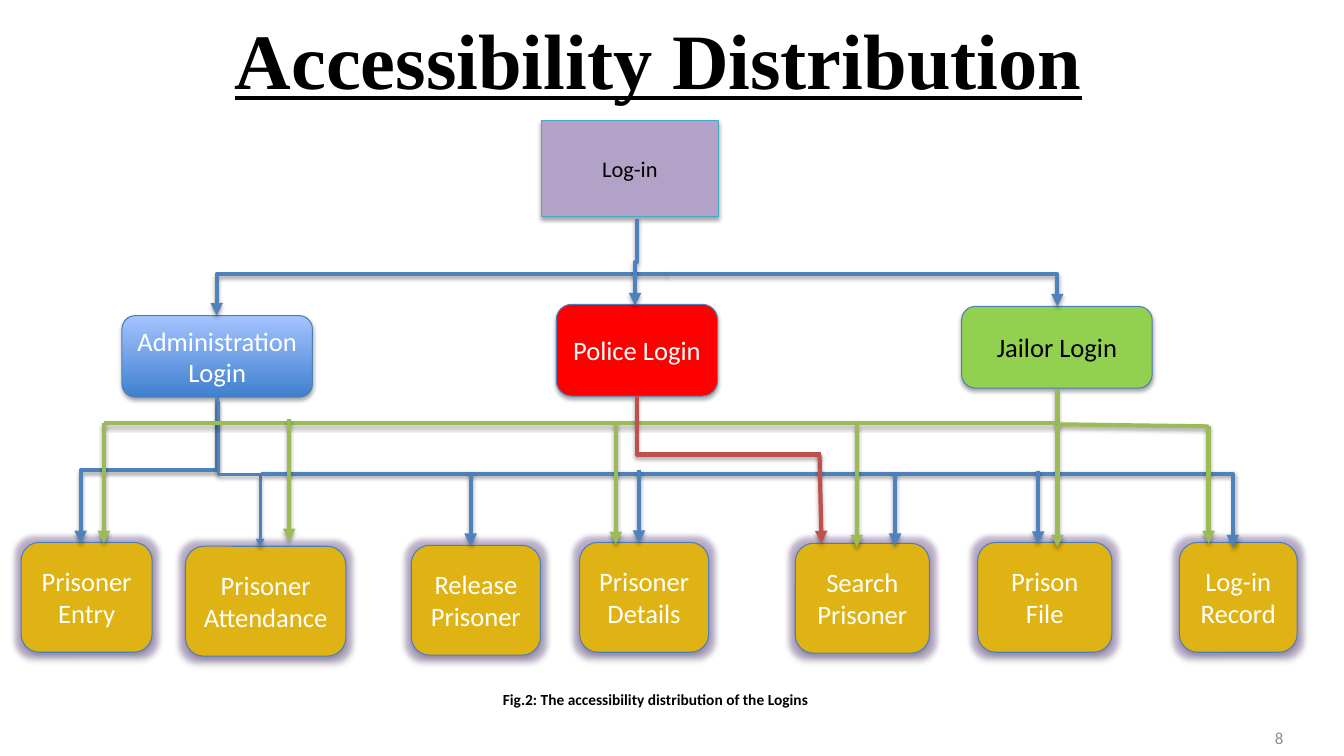
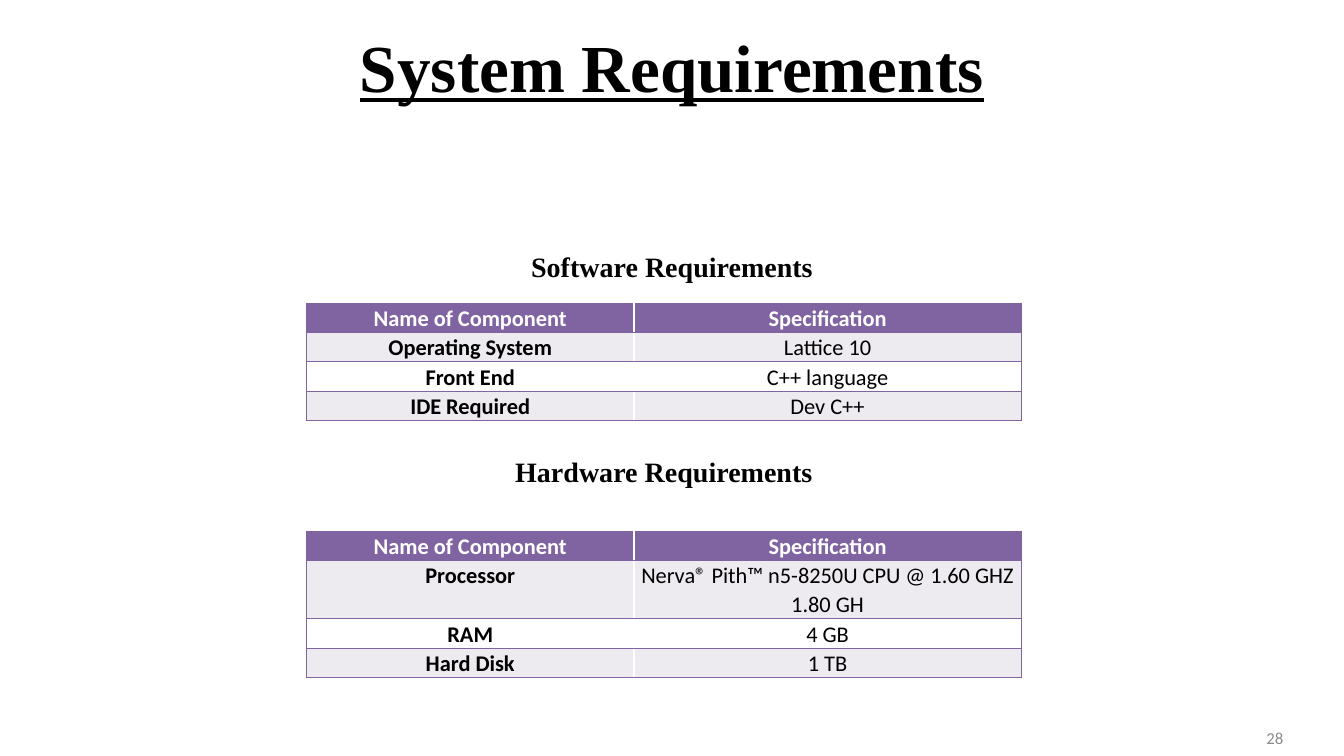
from pptx import Presentation
from pptx.dml.color import RGBColor
from pptx.enum.shapes import MSO_CONNECTOR, MSO_SHAPE
from pptx.enum.text import MSO_ANCHOR, PP_ALIGN
from pptx.oxml.ns import qn
from pptx.oxml.xmlchemy import OxmlElement
from pptx.util import Pt

# Shared look
SANS, SERIF = "Calibri", "Times New Roman"
BLACK, WHITE, GREY = "000000", "FFFFFF", "8C8C8C"
BLUE, GREEN, RED, PURPLE = "4F81BD", "9BBB59", "C0504D", "8064A2"
BOX_EDGE, TASK_GOLD, BAND = "4B7EBC", "DFB313", "EDEAF0"


def rgb(value):
    return RGBColor.from_string(value)


def add_xml(parent, tag, **attributes):
    child = OxmlElement(tag)
    for key, value in attributes.items():
        child.set(key, str(value))
    parent.append(child)
    return child


def add_color(parent, color, opacity=100):
    node = add_xml(parent, "a:srgbClr", val=color)
    add_xml(node, "a:alpha", val=opacity * 1000)


def add_effects(shape, glow=False):
    effects = add_xml(shape._element.spPr, "a:effectLst")
    if glow:
        add_color(add_xml(effects, "a:glow", rad=Pt(8)), PURPLE, 40)
    shadow = add_xml(effects, "a:outerShdw", blurRad=Pt(3.1), dist=Pt(1.8),
                     dir=5400000, rotWithShape=0)
    add_color(shadow, BLACK, 35)


# Text
def write(frame, text, size, font=SANS, color=BLACK, bold=False,
          underline=False, align=PP_ALIGN.CENTER):
    frame.text = text
    paragraph = frame.paragraphs[0]
    paragraph.alignment = align
    for run in paragraph.runs:
        run.font.name = font
        run.font.size = Pt(size)
        run.font.bold = bold
        run.font.underline = underline
        run.font.color.rgb = rgb(color)
    return paragraph


def add_text(slide, box, text, size, anchor=MSO_ANCHOR.MIDDLE, **style):
    frame = slide.shapes.add_textbox(*map(Pt, box)).text_frame
    frame.word_wrap = True
    frame.vertical_anchor = anchor
    write(frame, text, size, **style)


def add_title(slide, box, text, size, **style):
    add_text(slide, box, text, size, font=SERIF, bold=True, underline=True, **style)


def add_page_number(slide, number):
    add_text(slide, (699.8, 512.6, 224, 28.8), number, 12, color=GREY,
             align=PP_ALIGN.RIGHT)


# Diagram parts
def add_node(slide, box, text, fill, color=WHITE, size=19, edge=BOX_EDGE,
             preset=MSO_SHAPE.ROUNDED_RECTANGLE, glow=False):
    node = slide.shapes.add_shape(preset, *map(Pt, box))
    if isinstance(fill, tuple):
        node.fill.gradient()
        node.fill.gradient_angle = 90
        for stop, stop_color in zip(node.fill.gradient_stops, fill):
            stop.color.rgb = rgb(stop_color)
    else:
        node.fill.solid()
        node.fill.fore_color.rgb = rgb(fill)
    node.line.color.rgb = rgb(edge)
    node.line.width = Pt(0.75)
    add_effects(node, glow)
    node.text_frame.word_wrap = True
    node.text_frame.vertical_anchor = MSO_ANCHOR.MIDDLE
    write(node.text_frame, text, size, color=color)


def style_link(link, color, arrow, width):
    link.line.color.rgb = rgb(color)
    link.line.width = Pt(width)
    if arrow:
        add_xml(link.line._get_or_add_ln(), "a:tailEnd", type="triangle")
    add_effects(link)


def add_line(slide, start, end, color, arrow=True, width=3):
    link = slide.shapes.add_connector(MSO_CONNECTOR.STRAIGHT, *map(Pt, start + end))
    style_link(link, color, arrow, width)


def add_corner(slide, start, end, color, arrow=True, width=3):
    """One bend: across, then up or down."""
    link = slide.shapes.add_connector(MSO_CONNECTOR.ELBOW, *map(Pt, start + end))
    link._element.spPr.find(qn("a:prstGeom")).set("prst", "bentConnector2")
    style_link(link, color, arrow, width)


def add_step(slide, start, end, color, arrow=True, width=3):
    """Two bends: down, across, down. The frame is a quarter turn round its centre."""
    (x1, y1), (x2, y2) = start, end
    drop, shift = y2 - y1, abs(x2 - x1)
    left, top = (x1 + x2 - drop) / 2, (y1 + y2 - shift) / 2
    rightward = x2 > x1
    begin, finish = (left + drop, left) if rightward else (left, left + drop)
    link = slide.shapes.add_connector(
        MSO_CONNECTOR.ELBOW, Pt(begin), Pt(top), Pt(finish), Pt(top + shift))
    turn = 270 if rightward else 90
    link._element.spPr.find(qn("a:xfrm")).set("rot", str(turn * 60000))
    style_link(link, color, arrow, width)


# Tables
def add_border(cell, sides):
    for side in sides:
        line = add_xml(cell._tc.get_or_add_tcPr(), f"a:ln{side}", w=Pt(1))
        add_color(add_xml(line, "a:solidFill"), PURPLE)


def add_requirements(slide, top, heading_box, heading, rows, heights):
    add_text(slide, heading_box, heading, 20, font=SERIF, bold=True)
    rows = [("Name of Component", "Specification")] + rows
    table = slide.shapes.add_table(len(rows), 2, Pt(218.9), Pt(top), Pt(510.5),
                                   Pt(sum(heights))).table
    table.horz_banding = False
    for column, width in zip(table.columns, (234, 276.5)):
        column.width = Pt(width)
    for r, values in enumerate(rows):
        table.rows[r].height = Pt(heights[r])
        fill = PURPLE if r == 0 else BAND if r % 2 else WHITE
        for c, value in enumerate(values):
            cell = table.cell(r, c)
            cell.margin_left = cell.margin_right = Pt(5)
            cell.margin_top = cell.margin_bottom = 0
            add_border(cell, "RTB" if c else "LTB")
            cell.fill.solid()
            cell.fill.fore_color.rgb = rgb(fill)
            paragraph = write(cell.text_frame, value, 16, bold=r == 0 or c == 0,
                              color=BLACK if r else WHITE)
            paragraph.line_spacing = 1.07


# Slides
def build_accessibility(slide):
    add_title(slide, (160.6, 4.3, 790, 74.9), "Accessibility Distribution", 56,
              anchor=MSO_ANCHOR.TOP, align=PP_ALIGN.LEFT)

    # Logins
    add_node(slide, (386.6, 86.4, 126.7, 68.4), "Log-in", "B3A2C7", BLACK, 16,
             "46AAC5", MSO_SHAPE.RECTANGLE)
    add_node(slide, (87.1, 225.4, 136.1, 58.3), "Administration Login",
             ("3F80CE", "A4C4FF"))
    add_node(slide, (397.4, 217.4, 115.2, 65.5), "Police Login", "FF0000")
    add_node(slide, (686.9, 218.9, 136.1, 58.3), "Jailor Login", "92D050", BLACK)

    # Tasks
    for left, top, width, task in (
            (15.1, 387.4, 93.6, "Prisoner Entry"),
            (132.5, 390.2, 114.5, "Prisoner Attendance"),
            (293.8, 389.5, 92.2, "Release Prisoner"),
            (414, 387.4, 92.2, "Prisoner Details"),
            (568.1, 388.1, 95.8, "Search Prisoner"),
            (698.4, 387.4, 95.8, "Prison File"),
            (842.4, 387.4, 84.2, "Log-in Record")):
        add_node(slide, (left, top, width, 78.5), task, TASK_GOLD, glow=True)

    # From the log-in to each role
    fork = (476.6, 195.8)
    add_corner(slide, fork, (154.8, 225.4), BLUE)
    add_step(slide, (455, 156.2), (453.6, 218.2), BLUE)
    add_corner(slide, fork, (755.3, 218.9), BLUE)

    # Administration
    add_step(slide, (154.8, 283.7), (57.6, 388.1), BLUE)
    add_step(slide, (156.2, 286.6), (185.8, 391), BLUE, width=2)
    add_corner(slide, (186.5, 338.4), (880.6, 391), BLUE)
    for x, top in ((336.2, 337.7), (456.5, 335.5), (639.4, 337.7), (741.6, 336.2)):
        add_line(slide, (x, top), (x, top + 52.4), BLUE)

    # Jailor
    jailor_x, bus_y = 755.3, 302.4
    add_line(slide, (jailor_x, 277.9), (jailor_x, bus_y), GREEN, arrow=False)
    add_line(slide, (jailor_x, bus_y), (74.2, bus_y), GREEN, arrow=False)
    add_line(slide, (jailor_x, 303.1), (863.3, 304.6), GREEN, arrow=False)
    for x, top, bottom in ((74.2, bus_y, 388.1), (206.6, 299.5, 386.6),
                           (439.9, bus_y, 388.8), (612, 303.8, 391),
                           (863.3, 304.6, 388.1), (jailor_x, 303.8, 391)):
        add_line(slide, (x, top), (x, bottom), GREEN)

    # Police
    add_corner(slide, (586.8, 324.7), (455, 283), RED, arrow=False)
    add_line(slide, (585.4, 324.7), (586.8, 388.1), RED)

    add_text(slide, (352.1, 489.6, 308.2, 20.9),
             "Fig.2: The accessibility distribution of the Logins", 11,
             anchor=MSO_ANCHOR.TOP, bold=True, align=PP_ALIGN.LEFT)
    add_page_number(slide, "8")


def build_requirements(slide):
    add_title(slide, (0, 24.5, 960, 44.6), "System Requirements", 48)
    row = 20.9
    add_requirements(
        slide, 216.7, (360, 174.2, 240, 31.7), "Software Requirements",
        [("Operating System", "Lattice 10"),
         ("Front End", "C++ language"),
         ("IDE Required", "Dev C++")],
        [row] * 4)
    add_requirements(
        slide, 379.4, (354.2, 321.1, 240, 31.7), "Hardware Requirements",
        [("Processor", "Nerva® Pith™ n5-8250U CPU @ 1.60 GHZ 1.80 GH"),
         ("RAM", "4 GB"),
         ("Hard Disk", "1 TB")],
        [row, 2 * row, row, row])
    add_page_number(slide, "28")


def main():
    deck = Presentation()
    deck.slide_width, deck.slide_height = Pt(960), Pt(540)
    for build in (build_accessibility, build_requirements):
        build(deck.slides.add_slide(deck.slide_layouts[6]))
    deck.save("out.pptx")


if __name__ == "__main__":
    main()
